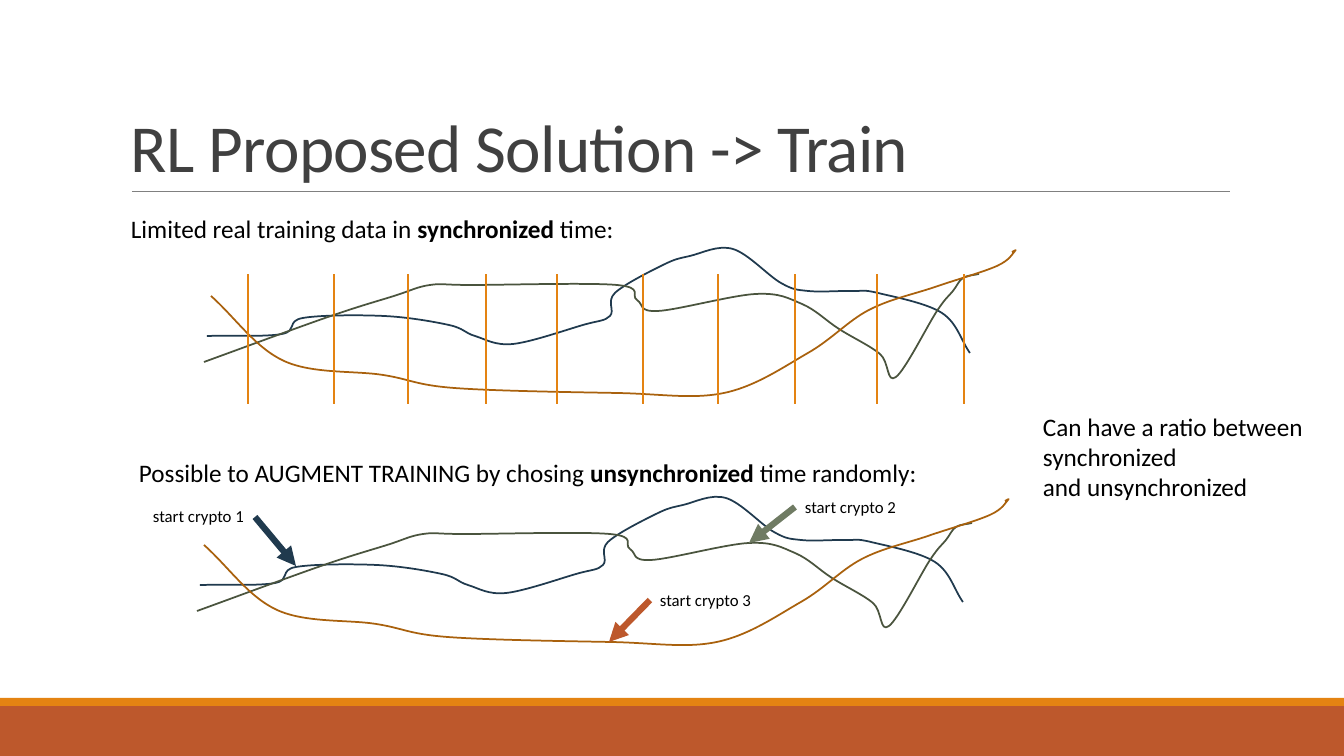
from lxml import etree
from pptx import Presentation
from pptx.dml.color import RGBColor
from pptx.enum.shapes import MSO_CONNECTOR, MSO_SHAPE
from pptx.enum.text import MSO_ANCHOR, MSO_AUTO_SIZE
from pptx.oxml.ns import qn
from pptx.util import Emu, Pt

STRAIGHT = MSO_CONNECTOR.STRAIGHT
RECTANGLE = MSO_SHAPE.RECTANGLE
TOP, BOTTOM = MSO_ANCHOR.TOP, MSO_ANCHOR.BOTTOM
GROW = MSO_AUTO_SIZE.SHAPE_TO_FIT_TEXT

THEME = {
    "font": "Calibri",
    "title_size": 48, "body_size": 18, "label_size": 12,
    "title": "404040", "text": "000000", "divider": "808080",
    "rust": "BD582C", "orange": "E48312", "sage": "6F7B63",
    "navy": "203A4E", "olive": "4A543E", "brown": "A9610D",
}
EMU_PER_PX = 914400 / 100.8


def px(*lengths):
    return [Emu(round(length * EMU_PER_PX)) for length in lengths]


def add_text(box, paragraphs, size, color="text", anchor=TOP):
    """Each paragraph is a list of (text, bold) runs."""
    text_box = slide.shapes.add_textbox(*px(*box))
    frame = text_box.text_frame
    frame.word_wrap = False
    frame.auto_size = GROW
    frame.vertical_anchor = anchor
    for index, runs in enumerate(paragraphs):
        paragraph = frame.paragraphs[0] if index == 0 else frame.add_paragraph()
        for text, bold in runs:
            run = paragraph.add_run()
            run.text = text
            run.font.name = THEME["font"]
            run.font.size = Pt(THEME[size])
            run.font.bold = bold
            run.font.color.rgb = RGBColor.from_string(THEME[color])
    return frame


prs = Presentation()
prs.slide_width, prs.slide_height = px(1344, 756)
slide = prs.slides.add_slide(prs.slide_layouts[6])

# Footer bands
for band_top, band_height, color in [(706, 50, "rust"), (698, 8, "orange")]:
    band = slide.shapes.add_shape(RECTANGLE, *px(0, band_top, 1344, band_height))
    band.shadow.inherit = False
    band.fill.solid()
    band.fill.fore_color.rgb = RGBColor.from_string(THEME[color])
    band.line.fill.background()

# Title
title = add_text((121, 31, 1109, 160), [[("RL Proposed Solution -> Train", False)]],
                 "title_size", "title", BOTTOM)
title.auto_size = MSO_AUTO_SIZE.NONE
title.word_wrap = True
title.paragraphs[0].line_spacing = 0.85
title.paragraphs[0].runs[0].font._element.set("spc", "-50")

# Price curves: the same three series in both charts, as smooth splines
SERIES = {
    "navy": [(207, 336), (282, 334), (303, 318), (384, 316), (449, 325), (475, 336),
             (513, 344), (583, 325), (610, 316), (615, 293), (663, 265), (690, 256),
             (733, 249), (781, 283), (808, 291), (852, 291), (878, 293), (942, 313),
             (970, 353)],
    "olive": [(204, 362), (328, 317), (394, 296), (430, 285), (472, 285), (617, 285),
              (637, 300), (658, 311), (756, 294), (802, 304), (839, 329), (880, 354),
              (896, 377), (937, 311), (953, 291), (963, 278), (979, 274)],
    "brown": [(211, 296), (284, 361), (383, 375), (454, 388), (616, 393), (724, 393),
              (808, 353), (869, 310), (935, 287), (997, 266), (1015, 251), (1012, 252)],
}
for shift_x, shift_y in [(0, 0), (-7, 249)]:
    for color, anchors in SERIES.items():
        points = [px(x + shift_x, y + shift_y) for x, y in anchors]
        builder = slide.shapes.build_freeform(*points[0])
        builder.add_line_segments(points[1:], close=False)
        curve = builder.convert_to_shape()
        curve.shadow.inherit = False
        curve.fill.background()
        curve.line.color.rgb = RGBColor.from_string(THEME[color])
        curve.line.width = Pt(1.25)

        # Catmull-Rom handles turn each straight segment into a Bezier
        left, top = min(x for x, y in points), min(y for x, y in points)
        local = [(x - left, y - top) for x, y in points]
        before = [2 * a - b for a, b in zip(local[0], local[1])]
        after = [2 * a - b for a, b in zip(local[-1], local[-2])]
        padded = [before, *local, after]
        segments = list(curve.element.iter(qn("a:lnTo")))
        for segment, p0, p1, p2, p3 in zip(segments, padded, padded[1:], padded[2:], padded[3:]):
            segment.tag = qn("a:cubicBezTo")
            handles = ([b + (c - a) / 6 for a, b, c in zip(p0, p1, p2)],
                       [b - (c - a) / 6 for a, b, c in zip(p1, p2, p3)])
            for position, (x, y) in enumerate(handles):
                handle = etree.Element(qn("a:pt"), x=str(round(x)), y=str(round(y)))
                segment.insert(position, handle)

# Title rule, synchronized time marks and start arrows
TIME_MARKS = [248, 334, 408, 486, 557, 643, 718, 795, 877, 964]
LINES = [((132, 191, 1230, 191), "divider", 0.5, False)]
LINES += [((x, 404, x, 274), "orange", 1, False) for x in TIME_MARKS]
LINES += [
    ((255, 517, 296, 566), "navy", 4.5, True),
    ((795, 507, 749, 543), "sage", 4.5, True),
    ((650, 600, 609, 642), "rust", 4.5, True),
]
for ends, color, width, is_arrow in LINES:
    line = slide.shapes.add_connector(STRAIGHT, *px(*ends))
    line.line.color.rgb = RGBColor.from_string(THEME[color])
    line.line.width = Pt(width)
    if is_arrow:
        etree.SubElement(line.line._get_or_add_ln(), qn("a:tailEnd"), type="triangle")
    etree.SubElement(line.element.spPr, qn("a:effectLst"))

# Chart headings and side remark
add_text((121, 208, 506, 40), [[("Limited real training data in ", False),
                                ("synchronized", True), (" time:", False)]], "body_size")
add_text((129, 452, 802, 40), [[("Possible to AUGMENT TRAINING by chosing ", False),
                                ("unsynchronized", True),
                                (" time randomly:", False)]], "body_size")
add_text((1033, 406, 283, 102), [[("Can have a ratio between", False)],
                                 [("synchronized", False)],
                                 [("and unsynchronized", False)]], "body_size")

# Arrow labels
for number, (x, y) in enumerate([(143, 501), (795, 492), (650, 585)], start=1):
    add_text((x, y, 113, 30), [[(f"start crypto {number}", False)]], "label_size")

prs.save("out.pptx")
